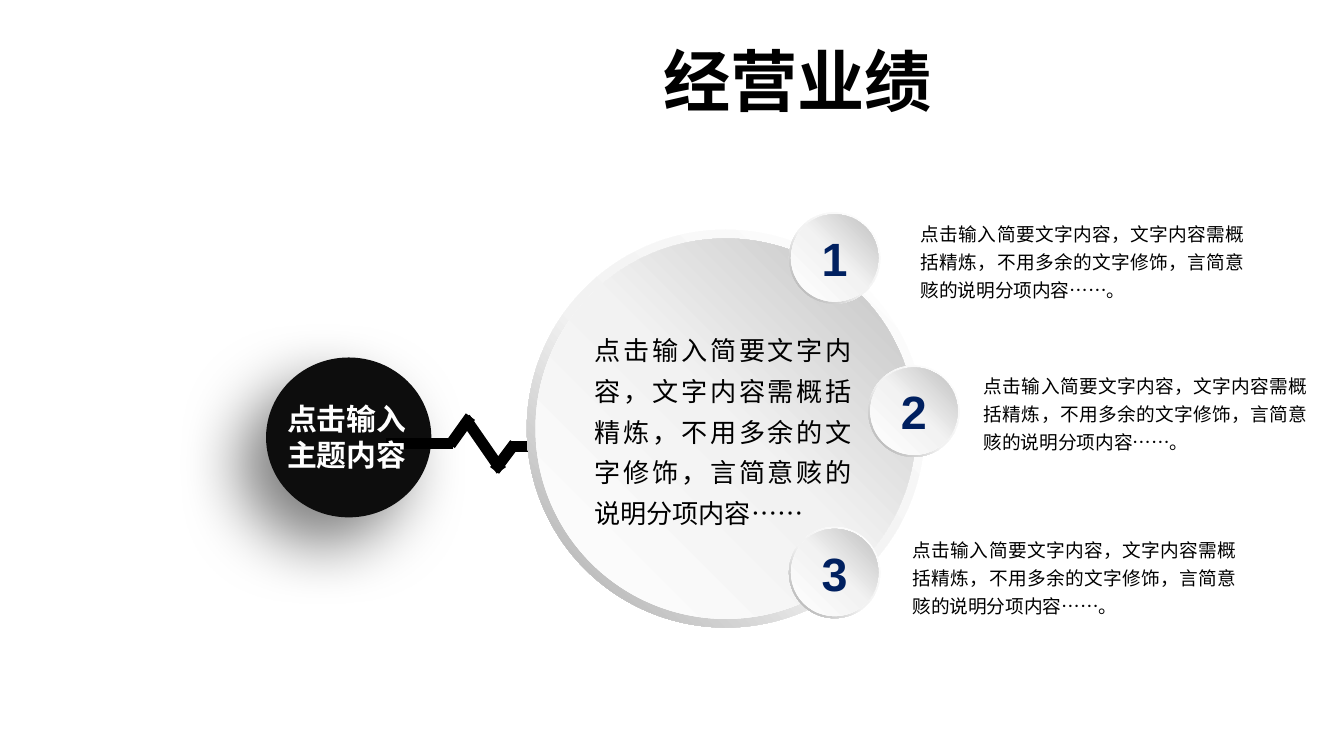
from typing import NamedTuple

from lxml.etree import SubElement
from pptx import Presentation
from pptx.dml.color import RGBColor
from pptx.enum.shapes import MSO_CONNECTOR as Connector, MSO_SHAPE as Preset
from pptx.enum.text import MSO_ANCHOR as Anchor, MSO_AUTO_SIZE as AutoSize, PP_ALIGN as Align
from pptx.oxml.ns import qn
from pptx.shapes.autoshape import Shape
from pptx.slide import Slide
from pptx.text.text import TextFrame
from pptx.util import Inches, Length, Pt

COLORS = {
    "black": "000000",
    "white": "FFFFFF",
    "theme": "0D0D0D",
    "number": "002060",
    "light": "F2F2F2",
    "shade": "BFBFBF",
    "rim": "A6A6A6",
}
FONT = "Arial"
SUMMARY = "点击输入简要文字内容，文字内容需概括精炼，不用多余的文字修饰，言简意赅的说明分项内容……"


class Box(NamedTuple):
    left: float
    top: float
    width: float
    height: float

    def lengths(self) -> list[Length]:
        return [Inches(value) for value in self]


class Style(NamedTuple):
    size: float
    color: str
    bold: bool = False
    align: Align = Align.CENTER
    spacing: float | Length | None = None


class Gradient(NamedTuple):
    middle: int
    end: str
    angle: int


class Item(NamedTuple):
    number: str
    center_x: float
    center_y: float
    note: Box


class Segment(NamedTuple):
    x1: float
    y1: float
    x2: float
    y2: float


RIM = Gradient(55, "rim", 225)
FACE = Gradient(51, "shade", 45)
TITLE = Style(36, "black", bold=True)
THEME = Style(16, "white", bold=True)
NUMBER = Style(25, "number", bold=True)
NOTE = Style(10, "black", align=Align.JUSTIFY, spacing=Pt(15))
BODY = Style(14, "black", align=Align.JUSTIFY, spacing=1.3)

ITEMS = [
    Item("1", 6.21, 1.92, Box(6.85, 1.62, 2.41, 0.63)),
    Item("2", 6.8, 3.06, Box(7.32, 2.75, 2.41, 0.63)),
    Item("3", 6.21, 4.26, Box(6.79, 3.97, 2.41, 0.63)),
]
PULSE = [
    Segment(2.87, 3.3, 3.37, 3.3),
    Segment(3.8, 3.32, 4.21, 3.32),
    Segment(3.35, 3.31, 3.5, 3.1),
    Segment(3.68, 3.5, 3.83, 3.3),
    Segment(3.73, 3.5, 3.46, 3.11),
]


def rgb(name: str) -> RGBColor:
    return RGBColor.from_string(COLORS[name])


def write(frame: TextFrame, text: str, style: Style) -> None:
    frame.text = text
    for paragraph in frame.paragraphs:
        paragraph.alignment = style.align
        if style.spacing is not None:
            paragraph.line_spacing = style.spacing
        font = paragraph.font
        font.name, font.size, font.bold = FONT, Pt(style.size), style.bold
        font.color.rgb = rgb(style.color)


def clear_margins(frame: TextFrame) -> None:
    frame.margin_left = frame.margin_top = frame.margin_right = frame.margin_bottom = 0


def add_text(slide: Slide, box: Box, text: str, style: Style, wrap: bool = True) -> None:
    frame = slide.shapes.add_textbox(*box.lengths()).text_frame
    clear_margins(frame)
    frame.word_wrap = wrap
    frame.auto_size = AutoSize.SHAPE_TO_FIT_TEXT
    write(frame, text, style)


def add_round(slide: Slide, preset: Preset, box: Box) -> Shape:
    shape = slide.shapes.add_shape(preset, *box.lengths())
    shape.shadow.inherit = False
    shape.line.fill.background()
    return shape


def fill_gradient(shape: Shape, gradient: Gradient) -> None:
    shape.fill.gradient()
    shape.fill.gradient_angle = gradient.angle
    stops = shape.element.spPr.find(f".//{qn('a:gsLst')}")
    for stop in list(stops):
        stops.remove(stop)
    for position, color in ((0, "white"), (gradient.middle, "light"), (100, gradient.end)):
        stop = SubElement(stops, qn("a:gs"), pos=str(position * 1000))
        SubElement(stop, qn("a:srgbClr"), val=COLORS[color])


def add_disc(slide: Slide, x: float, y: float, outer: float, inner: float) -> Shape:
    """Draw a rimmed disc around a centre and return its face."""
    layers = ((Preset.DONUT, outer, RIM), (Preset.OVAL, inner, FACE))
    for preset, size, gradient in layers:
        shape = add_round(slide, preset, Box(x - size / 2, y - size / 2, size, size))
        fill_gradient(shape, gradient)
        if preset == Preset.DONUT:
            shape.adjustments[0] = 0.05
    return shape


def add_theme_circle(slide: Slide) -> None:
    circle = add_round(slide, Preset.OVAL, Box(1.98, 2.66, 1.23, 1.19))
    circle.fill.solid()
    circle.fill.fore_color.rgb = rgb("theme")
    effects = circle.element.spPr.find(qn("a:effectLst"))
    shadow = SubElement(effects, qn("a:outerShdw"), blurRad=str(Pt(35)), dist=str(Pt(20)),
                        dir=str(135 * 60000), algn="tr", rotWithShape="0")
    color = SubElement(shadow, qn("a:srgbClr"), val=COLORS["black"])
    SubElement(color, qn("a:alpha"), val="50000")


def add_segment(slide: Slide, segment: Segment) -> None:
    line = slide.shapes.add_connector(Connector.STRAIGHT, *map(Inches, segment))
    line.line.width = Pt(6)
    line.line.color.rgb = rgb("black")
    SubElement(line.element.spPr, qn("a:effectLst"))


def add_title(slide: Slide, text: str) -> None:
    title = slide.shapes.title
    title.left, title.top, title.width, title.height = Box(4.35, 0.29, 3.17, 0.61).lengths()
    frame = title.text_frame
    clear_margins(frame)
    frame.auto_size = AutoSize.NONE
    frame.vertical_anchor = Anchor.TOP
    write(frame, text, TITLE)


def main() -> None:
    deck = Presentation()
    deck.slide_width = Inches(10)
    deck.slide_height = deck.slide_width * 9 // 16
    slide = deck.slides.add_slide(deck.slide_layouts[5])
    add_title(slide, "经营业绩")
    add_theme_circle(slide)
    for segment in PULSE:
        add_segment(slide, segment)
    add_disc(slide, 5.4, 3.19, 2.96, 2.83)
    for item in ITEMS:
        badge = add_disc(slide, item.center_x, item.center_y, 0.68, 0.65)
        badge.text_frame.vertical_anchor = Anchor.MIDDLE
        write(badge.text_frame, item.number, NUMBER)
        add_text(slide, item.note, SUMMARY + "。", NOTE)
    add_text(slide, Box(2.13, 2.98, 0.9, 0.54), "点击输入\n主题内容", THEME, wrap=False)
    add_text(slide, Box(4.42, 2.42, 1.92, 1.53), SUMMARY, BODY)
    deck.save("out.pptx")


if __name__ == "__main__":
    main()
